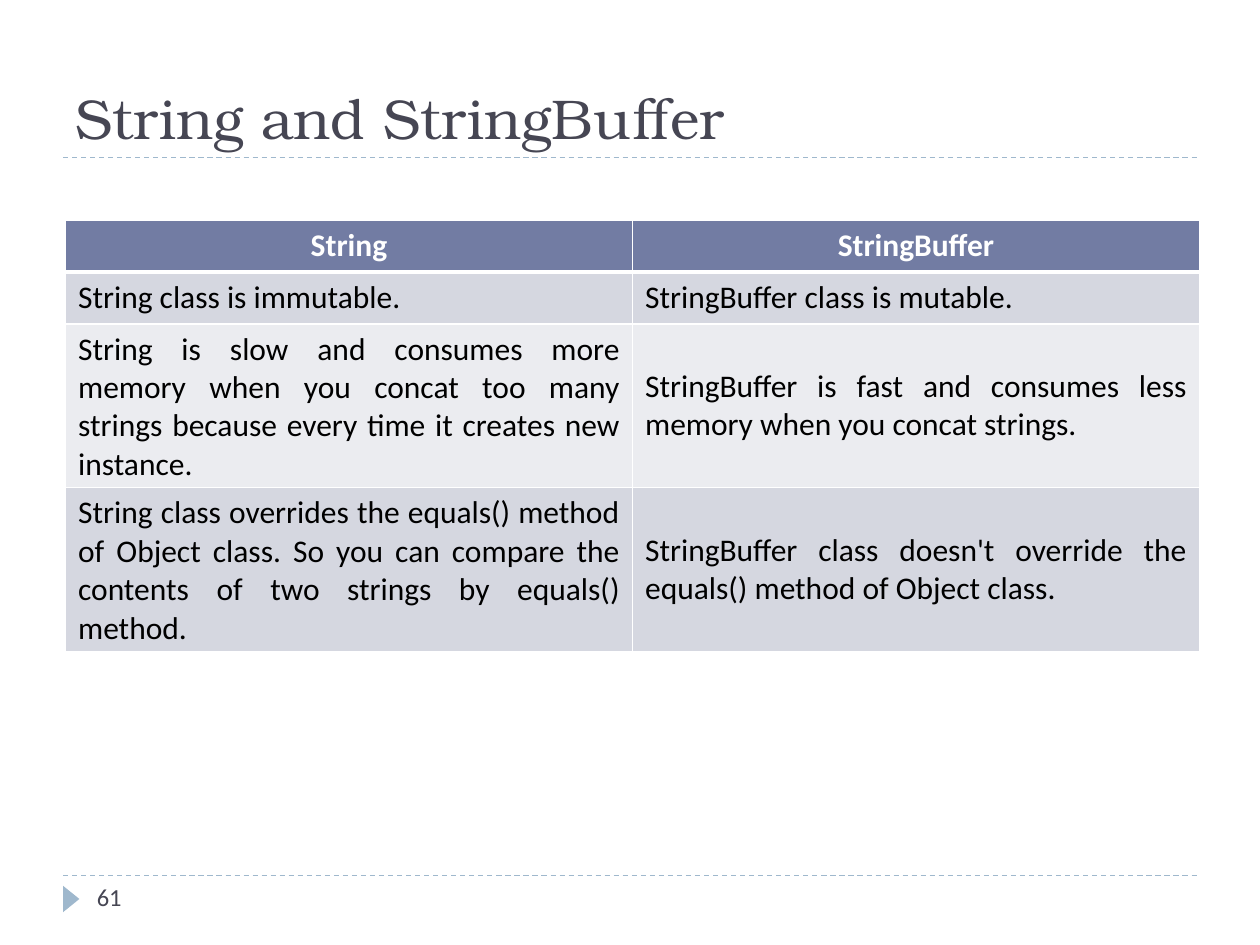
"""Build a slide that compares String and StringBuffer in a table."""
from dataclasses import dataclass

import pptx
import pptx.dml.color
import pptx.enum.dml
import pptx.enum.shapes
import pptx.enum.text
import pptx.oxml.ns
import pptx.util
from lxml import etree
from pptx.util import Inches

ALIGN = pptx.enum.text.PP_ALIGN
ANCHOR = pptx.enum.text.MSO_ANCHOR
INK, PALE, WHITE = "464653", "9FB8CD", "FFFFFF"


@dataclass
class Row:
    """One table row and its look."""
    texts: tuple
    high: float
    fill: str
    ink: str = "000000"
    bold: bool = False
    align: int = ALIGN.JUSTIFY
    anchor: int = ANCHOR.MIDDLE
    top: int = 1
    base: int = 1


ROWS = [
    Row(("String", "StringBuffer"), 0.41, "727CA3", WHITE, True,
        ALIGN.CENTER, ANCHOR.TOP, base=3),
    Row(("String class is immutable.", "StringBuffer class is mutable."),
        0.41, "D5D7E0", anchor=ANCHOR.TOP, top=3),
    Row(("String is slow and consumes more memory when you concat too many "
         "strings because every time it creates new instance.",
         "StringBuffer is fast and consumes less memory when you concat "
         "strings."), 1.3, "EBECF0"),
    Row(("String class overrides the equals() method of Object class. So you "
         "can compare the contents of two strings by equals() method.",
         "StringBuffer class doesn't override the equals() method of Object "
         "class."), 1.3, "D5D7E0"),
]


def paint(color, code: str) -> None:
    """Set a colour from a hex string."""
    color.rgb = pptx.dml.color.RGBColor.from_string(code)


def write(frame, text: str, size: int, face: str, ink: str,
          bold: bool = False, align: int = ALIGN.LEFT) -> None:
    """Fill a text frame and format its only run."""
    frame.text = text
    line = frame.paragraphs[0]
    line.alignment = align
    font = line.runs[0].font
    font.size, font.name, font.bold = pptx.util.Pt(size), face, bold
    paint(font.color, ink)


def rule(slide, y: float) -> None:
    """Draw a dashed line across the slide."""
    line = slide.shapes.add_connector(
        pptx.enum.shapes.MSO_CONNECTOR.STRAIGHT,
        Inches(0.5), Inches(y), Inches(9.5), Inches(y))
    paint(line.line.color, PALE)
    line.line.width = pptx.util.Pt(0.75)
    line.line.dash_style = pptx.enum.dml.MSO_LINE.DASH
    etree.SubElement(line._element.spPr, pptx.oxml.ns.qn("a:effectLst"))


def edge(cell, side: str, width: int) -> None:
    """Draw one white cell border."""
    name = pptx.oxml.ns.qn
    line = etree.SubElement(cell._tc.get_or_add_tcPr(), name("a:ln" + side))
    line.set("w", str(pptx.util.Pt(width)))
    fill = etree.SubElement(line, name("a:solidFill"))
    etree.SubElement(fill, name("a:srgbClr")).set("val", WHITE)


def grid(slide, rows: list) -> None:
    """Draw the table."""
    high = Inches(sum(row.high for row in rows))
    table = slide.shapes.add_table(
        len(rows), 2, Inches(0.52), Inches(1.75), Inches(9), high).table
    for i, row in enumerate(rows):
        table.rows[i].height = Inches(row.high)
        for cell, text in zip(table.rows[i].cells, row.texts):
            write(cell.text_frame, text, 18, "Calibri", row.ink, row.bold,
                  row.align)
            cell.vertical_anchor = row.anchor
            for side, width in zip("LRTB", (1, 1, row.top, row.base)):
                edge(cell, side, width)
            cell.fill.solid()
            paint(cell.fill.fore_color, row.fill)


def main() -> None:
    """Build and save the slide."""
    deck = pptx.Presentation()
    deck.slide_width, deck.slide_height = Inches(10), Inches(7.5)
    slide = deck.slides.add_slide(deck.slide_layouts[5])

    title = slide.shapes.title
    title.left, title.top = Inches(0.5), Inches(0.17)
    title.width, title.height = Inches(9), Inches(1.08)
    title.text_frame.vertical_anchor = ANCHOR.BOTTOM
    write(title.text_frame, "String and StringBuffer", 32, "TeX Gyre Bonum",
          INK)

    for y in (1.25, 6.95):
        rule(slide, y)

    mark = slide.shapes.add_shape(
        pptx.enum.shapes.MSO_SHAPE.ISOSCELES_TRIANGLE,
        Inches(0.46), Inches(7.07), Inches(0.21), Inches(0.13))
    mark.rotation = 90
    mark.shadow.inherit = False
    mark.fill.solid()
    paint(mark.fill.fore_color, PALE)
    mark.line.fill.background()

    page = slide.shapes.add_textbox(
        Inches(0.67), Inches(6.95), Inches(2.17), Inches(0.4))
    page.text_frame.word_wrap = True
    write(page.text_frame, "61", 14, "Calibri", INK)

    grid(slide, ROWS)
    deck.save("out.pptx")


if __name__ == "__main__":
    main()
